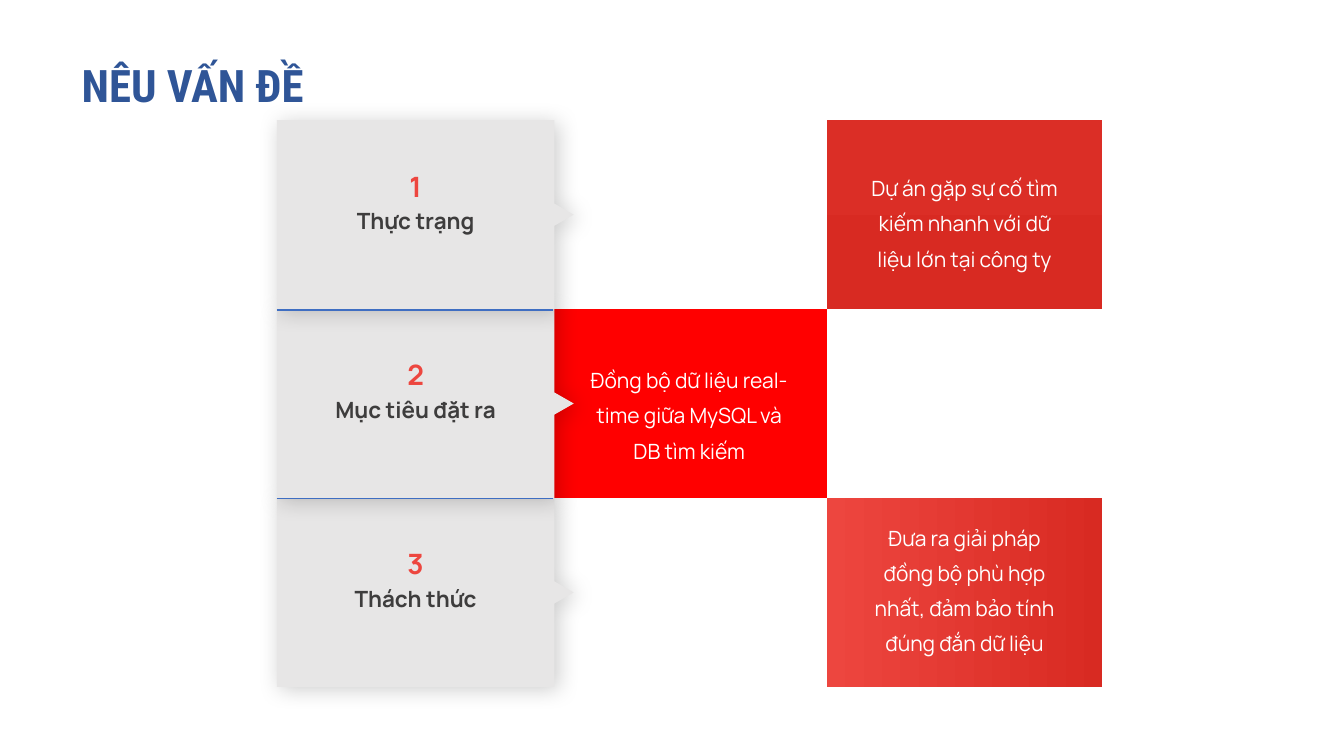
from lxml.etree import SubElement
from pptx import Presentation
from pptx.dml.color import RGBColor
from pptx.enum.shapes import MSO_CONNECTOR, MSO_SHAPE
from pptx.enum.text import MSO_AUTO_SIZE, PP_ALIGN
from pptx.oxml.ns import qn
from pptx.util import Cm, Pt

COLORS = {
    "title": "2F5597", "card": "E7E6E6", "label": "3E3D3D", "number": "ED463F",
    "white": "FFFFFF", "divider": "3F6EC2", "shadow": "000000", "red": "FF0000",
    "crimson": "DB2E26", "coral": "ED463F", "dark_red": "D82A22",
}
LEFT, TOP, ROW_H = 6.98, 3.03, 4.76
CARD_W, TIP_W, TIP_H = 6.99, 0.49, 0.56
PANEL_W = 6.94

ROWS = [
    dict(label="Thực trạng", label_w=3.68, column=2,
         stops=("crimson", "dark_red"), angle=270,
         text="Dự án gặp sự cố tìm kiếm nhanh với dữ liệu lớn tại công ty",
         offset=1.14, width=5.16, height=2.67),
    dict(label="Mục tiêu đặt ra", label_w=5.69, column=1,
         stops=("red", "red"), angle=0,
         text="Đồng bộ dữ liệu real-time giữa MySQL và DB tìm kiếm",
         offset=1.22, width=5.33, height=2.67),
    dict(label="Thách thức", label_w=3.68, column=2,
         stops=("coral", "dark_red"), angle=0,
         text="Đưa ra giải pháp đồng bộ phù hợp nhất, đảm bảo tính đúng đắn dữ liệu",
         offset=0.43, width=5.16, height=3.56),
]


class Deck:
    """Holds the slide and its style, with a method for each kind of element."""

    def __init__(self):
        self.prs = Presentation()
        self.prs.slide_width, self.prs.slide_height = Cm(33.87), Cm(19.05)
        self.s = self.prs.slides.add_slide(self.prs.slide_layouts[6])

    def color(self, name):
        return RGBColor.from_string(COLORS[name])

    def text(self, text, center, y, w, h, size, color, font="Manrope",
             bold=False, spacing=1.0, wrap=True):
        sp = self.s.shapes.add_textbox(Cm(center - w / 2), Cm(y), Cm(w), Cm(h))
        tf = sp.text_frame
        tf.word_wrap = wrap
        tf.auto_size = MSO_AUTO_SIZE.SHAPE_TO_FIT_TEXT
        if wrap:
            tf.margin_left = tf.margin_right = tf.margin_top = tf.margin_bottom = 0
        tf.text = text
        p = tf.paragraphs[0]
        p.alignment = PP_ALIGN.CENTER
        p.line_spacing = spacing
        r = p.runs[0]
        r.font.name, r.font.size, r.font.bold = font, Pt(size), bold
        r.font.color.rgb = self.color(color)

    def panel(self, x, y, stops, angle):
        sp = self.s.shapes.add_shape(MSO_SHAPE.RECTANGLE, Cm(x), Cm(y),
                                     Cm(PANEL_W), Cm(ROW_H))
        sp.shadow.inherit = False
        sp.line.fill.background()
        sp.fill.gradient()
        sp.fill.gradient_angle = angle
        for stop, name in zip(sp.fill.gradient_stops, stops):
            stop.color.rgb = self.color(name)

    def card(self, x, y):
        right, middle, bottom = x + CARD_W, y + ROW_H / 2, y + ROW_H
        points = [(right, y), (right, middle - TIP_H / 2), (right + TIP_W, middle),
                  (right, middle + TIP_H / 2), (right, bottom), (x, bottom)]
        builder = self.s.shapes.build_freeform(Cm(x), Cm(y))
        builder.add_line_segments([(Cm(px), Cm(py)) for px, py in points])
        sp = builder.convert_to_shape()
        sp.fill.solid()
        sp.fill.fore_color.rgb = self.color("card")
        sp.line.fill.background()
        sp.shadow.inherit = False
        effects = sp._element.spPr.find(qn("a:effectLst"))
        shadow = SubElement(effects, qn("a:outerShdw"), blurRad=str(Pt(16)),
                            dist=str(Pt(3)), dir=str(40 * 60000),
                            algn="tl", rotWithShape="0")
        clr = SubElement(shadow, qn("a:srgbClr"), val=COLORS["shadow"])
        SubElement(clr, qn("a:alpha"), val="20000")

    def divider(self, x, y, w):
        line = self.s.shapes.add_connector(MSO_CONNECTOR.STRAIGHT, Cm(x), Cm(y),
                                           Cm(x + w), Cm(y))
        line.line.color.rgb = self.color("divider")
        line.line.width = Pt(1)
        SubElement(line._element.spPr, qn("a:effectLst"))


def main():
    deck = Deck()
    deck.text("NÊU VẤN ĐỀ", 4.86, 1.07, 7.54, 1.75, 32, "title",
              font="Roboto Condensed", bold=True, spacing=1.2, wrap=False)
    tops = [TOP + i * ROW_H for i in range(len(ROWS))]
    for row, y in zip(ROWS, tops):
        x = LEFT - 0.02 + row["column"] * PANEL_W
        deck.panel(x, y, row["stops"], row["angle"])
        deck.text(row["text"], x + PANEL_W / 2, y + row["offset"], row["width"],
                  row["height"], 15, "white", spacing=1.4)
    center = LEFT + CARD_W / 2
    for i in reversed(range(len(ROWS))):
        y = tops[i]
        deck.card(LEFT, y)
        deck.text(ROWS[i]["label"], center, y + 2.2, ROWS[i]["label_w"], 0.69,
                  16, "label", bold=True)
        deck.text(str(i + 1), center, y + 1.23, 1.75, 0.86, 20, "number", bold=True)
    for y in tops[1:]:
        deck.divider(LEFT, y + 0.02, CARD_W - 0.03)
    deck.prs.save("out.pptx")


if __name__ == "__main__":
    main()
